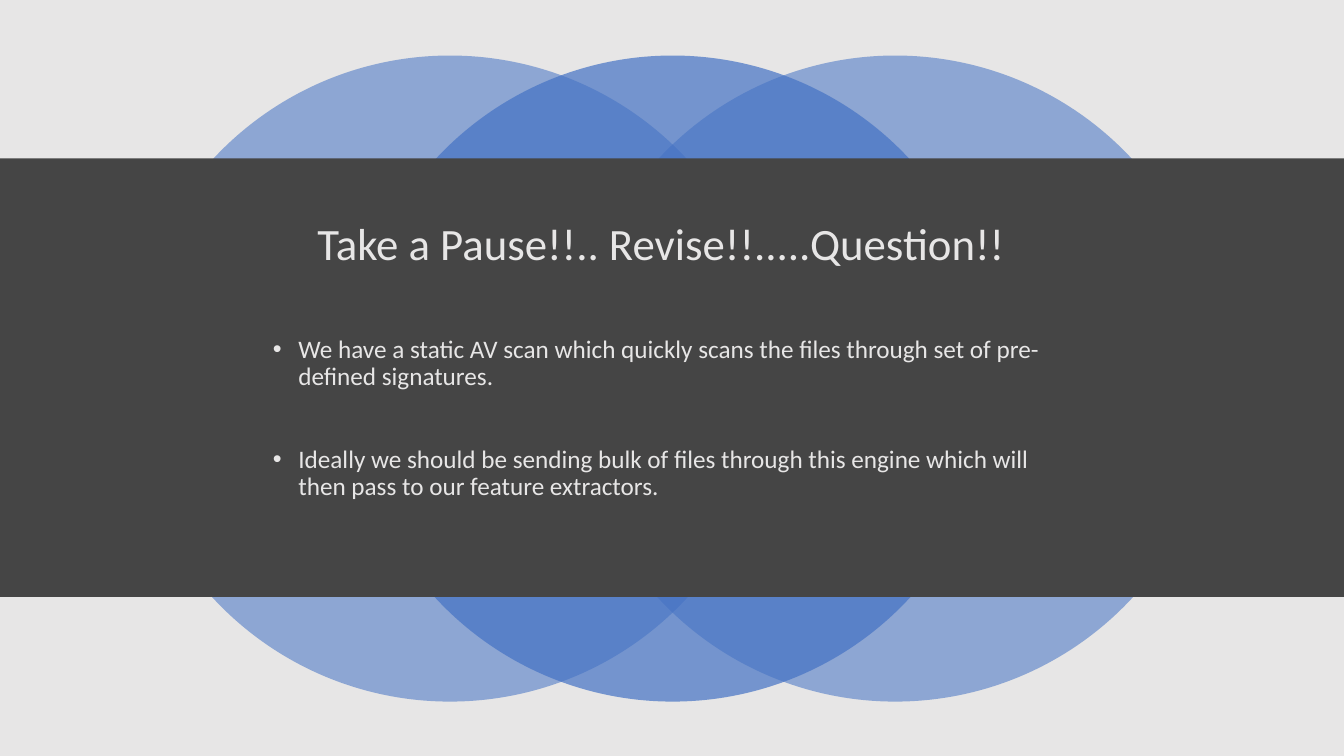
from dataclasses import dataclass

from lxml import etree
from pptx import Presentation
from pptx.dml.color import RGBColor
from pptx.enum import shapes, text
from pptx.oxml import ns
from pptx.util import Cm, Pt

COLORS = {"dark": "454545", "light": "E7E6E6", "blue": "4472C4"}
WIDTH, HEIGHT = 33.87, 19.05
DISC, LEFT, TOP, STEP = 16.28, 3.2, 1.4, 5.61
POINTS = [
    "We have a static AV scan which quickly scans the files through set of pre-defined signatures.",
    "Ideally we should be sending bulk of files through this engine which will "
    "then pass to our feature extractors.",
]


@dataclass
class Area:
    left: float
    top: float
    width: float
    height: float

    def lengths(self) -> list:
        return [Cm(n) for n in (self.left, self.top, self.width, self.height)]


@dataclass
class Disc:
    slot: int
    alpha: int


def paint(fill, color: str) -> None:
    fill.solid()
    fill.fore_color.rgb = RGBColor.from_string(COLORS[color])


def draw(parent, kind, area: Area, color: str, alpha: int = 100) -> None:
    """Add a borderless shape; alpha is its opacity in percent."""
    shape = parent.add_shape(kind, *area.lengths())
    shape.shadow.inherit = False
    shape.line.fill.background()
    paint(shape.fill, color)
    if alpha < 100:
        tint = shape.fill._xPr.find(".//" + ns.qn("a:srgbClr"))
        etree.SubElement(tint, ns.qn("a:alpha"), val=str(alpha * 1000))


def write(parent, area: Area, lines: list[str], *, size: int, align=text.PP_ALIGN.LEFT,
          anchor=text.MSO_ANCHOR.TOP, right: float = 0.25, gap: float = 0,
          bullet: bool = False) -> None:
    """Fill a text box; right is its right inset, gap the space between paragraphs."""
    frame = parent.add_textbox(*area.lengths()).text_frame
    frame.word_wrap = True
    frame.vertical_anchor = anchor
    frame.margin_right = Cm(right)
    for i, line in enumerate(lines):
        para = frame.add_paragraph() if i else frame.paragraphs[0]
        para.alignment = align
        para.line_spacing = 0.9
        if i:
            para.space_before = Pt(gap)
        if bullet:
            props = para._p.get_or_add_pPr()
            props.set("marL", str(Cm(0.64)))
            props.set("indent", str(-Cm(0.64)))
            etree.SubElement(props, ns.qn("a:buFont"), typeface="Arial")
            etree.SubElement(props, ns.qn("a:buChar"), char="•")
        run = para.add_run()
        run.text = line
        run.font.name = "Calibri"
        run.font.size = Pt(size)
        run.font.color.rgb = RGBColor.from_string(COLORS["light"])


def main() -> None:
    deck = Presentation()
    deck.slide_width, deck.slide_height = Cm(WIDTH), Cm(HEIGHT)
    slide = deck.slides.add_slide(deck.slide_layouts[6])
    paint(slide.background.fill, "dark")
    rect, oval = shapes.MSO_SHAPE.RECTANGLE, shapes.MSO_SHAPE.OVAL

    draw(slide.shapes, rect, Area(0, 0, WIDTH, HEIGHT), "light")
    discs = slide.shapes.add_group_shape().shapes
    for disc in (Disc(0, 55), Disc(2, 55), Disc(1, 70)):
        area = Area(LEFT + disc.slot * STEP, TOP, DISC, DISC)
        draw(discs, oval, area, "blue", disc.alpha)
    draw(slide.shapes, rect, Area(0, 3.99, WIDTH, 11.05), "dark")

    write(slide.shapes, Area(2.34, 4.9, 29.21, 2.59),
          ["Take a Pause!!.. Revise!!.....Question!!"], size=32,
          align=text.PP_ALIGN.CENTER, anchor=text.MSO_ANCHOR.MIDDLE, right=0.8)
    write(slide.shapes, Area(6.63, 8.36, 20.62, 5.87), POINTS, size=18,
          gap=39.5, bullet=True)
    deck.save("out.pptx")


if __name__ == "__main__":
    main()
